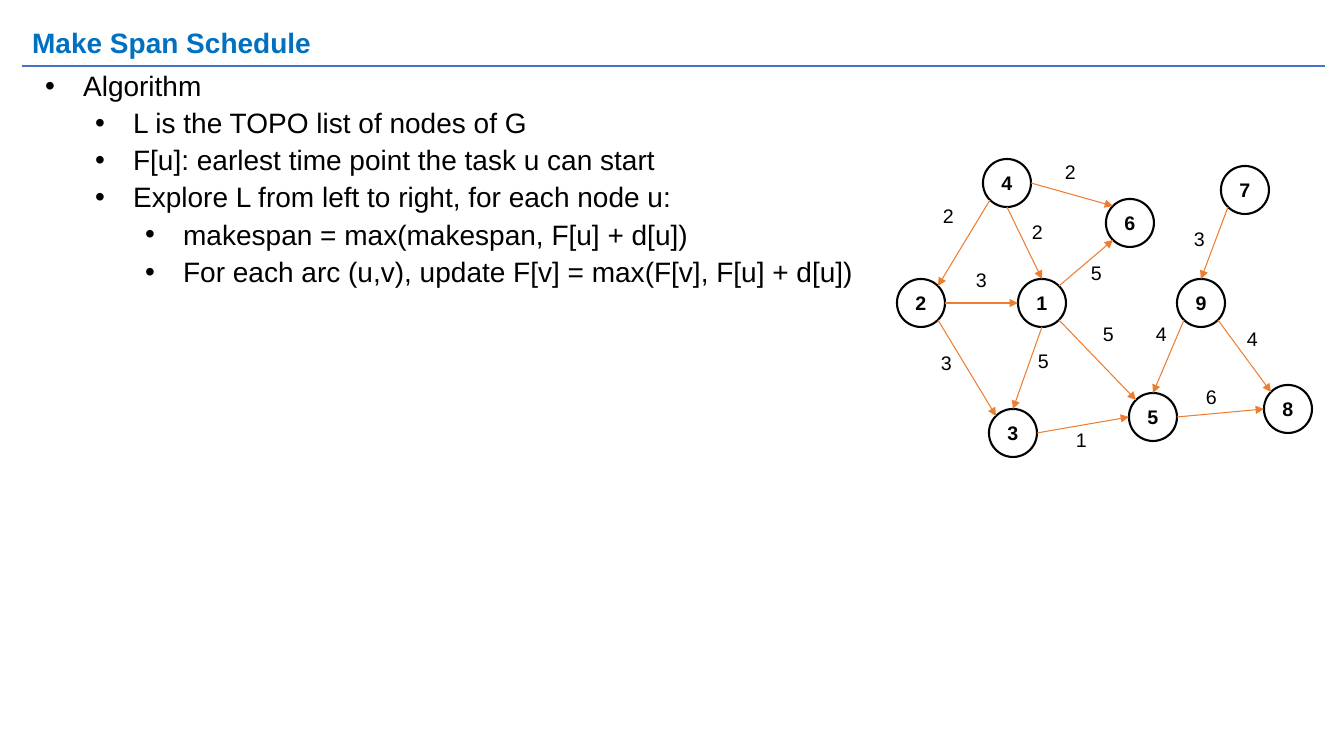
from dataclasses import dataclass
from math import cos, radians, sin

from pptx import Presentation
from pptx import util as u
from pptx.dml.color import RGBColor
from pptx.enum import shapes, text
from pptx.oxml.ns import qn
from lxml import etree

EMU_PER_PX = 914400 / 100.8


@dataclass(frozen=True)
class Theme:
    font: str = "Arial"
    ink: str = "000000"
    heading: str = "0070C0"
    rule: str = "4472C4"
    arc: str = "ED7D31"
    main_size: int = 20
    graph_size: int = 14
    thin: float = 0.75
    outline: float = 1.5


THEME = Theme()
DIAMETER = 48
ANGLES = {"E": 0, "SE": 45, "S": 90, "SW": 135, "W": 180, "NW": 225, "N": 270, "NE": 315}

ALGORITHM = [
    (0, "Algorithm"),
    (1, "L is the TOPO list of nodes of G"),
    (1, "F[u]: earlest time point the task u can start"),
    (1, "Explore L from left to right, for each node u:"),
    (2, "makespan = max(makespan, F[u] + d[u])"),
    (2, "For each arc (u,v), update F[v] = max(F[v], F[u] + d[u])"),
]

# Task: centre of its circle
TASKS = {
    4: (1007, 183), 2: (921, 303), 1: (1042, 303), 6: (1130, 223), 3: (1013, 433),
    5: (1153, 417), 9: (1201, 303), 7: (1245, 190), 8: (1288, 409),
}

# From task and side, to task and side, duration, left and top of the duration label
ARCS = [
    (4, "E", 6, "NW", 2, 1055, 155),
    (4, "SW", 2, "NE", 2, 933, 199),
    (4, "S", 1, "N", 2, 1022, 215),
    (9, "SW", 5, "N", 4, 1146, 317),
    (1, "NE", 6, "SW", 5, 1081, 256),
    (7, "SW", 9, "N", 3, 1184, 222),
    (1, "SE", 5, "NW", 5, 1093, 317),
    (1, "S", 3, "N", 5, 1028, 344),
    (2, "E", 1, "W", 3, 966, 263),
    (2, "SE", 3, "NW", 3, 931, 346),
    (3, "E", 5, "W", 1, 1066, 423),
    (5, "E", 8, "W", 6, 1196, 380),
    (9, "SE", 8, "NW", 4, 1237, 322),
]


def px(length):
    return u.Emu(round(length * EMU_PER_PX))


def rgb(value):
    return RGBColor.from_string(value)


def write(paragraph, words, size=THEME.main_size, color=THEME.ink, bold=False,
          align=text.PP_ALIGN.LEFT, spacing=None, before=None):
    paragraph.alignment = align
    if spacing is not None:
        paragraph.line_spacing = spacing
    if before is not None:
        paragraph.space_before = u.Pt(before)
    run = paragraph.add_run()
    run.text = words
    run.font.name = THEME.font
    run.font.size = u.Pt(size)
    run.font.bold = bold
    run.font.color.rgb = rgb(color)


def place(shape, left, top, width, height):
    shape.left, shape.top = px(left), px(top)
    shape.width, shape.height = px(width), px(height)


def add_bullet(paragraph, level):
    props = paragraph._p.get_or_add_pPr()
    props.set("marL", str(px(50 * (level + 1))))
    props.set("indent", str(px(-38)))
    color = etree.SubElement(props, qn("a:buClr"))
    etree.SubElement(color, qn("a:srgbClr"), val=THEME.ink)
    etree.SubElement(props, qn("a:buFont"), typeface=THEME.font)
    etree.SubElement(props, qn("a:buChar"), char="•")


def fill_title(title):
    place(title, 22, 15, 1302, 59)
    frame = title.text_frame
    frame.auto_size = text.MSO_AUTO_SIZE.NONE
    frame.vertical_anchor = text.MSO_ANCHOR.MIDDLE
    write(frame.paragraphs[0], "Make Span Schedule", color=THEME.heading,
          bold=True, spacing=0.9)


def fill_algorithm(body):
    place(body, 23, 67, 1301, 675)
    frame = body.text_frame
    frame.auto_size = text.MSO_AUTO_SIZE.NONE
    for index, (level, step) in enumerate(ALGORITHM):
        paragraph = frame.add_paragraph() if index else frame.paragraphs[0]
        paragraph.level = level
        write(paragraph, step, spacing=0.9, before=5 if level else 10)
        add_bullet(paragraph, level)


def add_line(slide, start, end, color, arrow=False):
    line = slide.shapes.add_connector(
        shapes.MSO_CONNECTOR.STRAIGHT, *map(px, (*start, *end)))
    line.line.color.rgb = rgb(color)
    line.line.width = u.Pt(THEME.thin)
    if arrow:
        etree.SubElement(line.line._get_or_add_ln(), qn("a:tailEnd"), type="triangle")
    etree.SubElement(line._element.spPr, qn("a:effectLst"))


def add_task(slide, number, center):
    x, y = center
    circle = slide.shapes.add_shape(
        shapes.MSO_SHAPE.OVAL,
        *map(px, (x - DIAMETER / 2, y - DIAMETER / 2, DIAMETER, DIAMETER)))
    circle.shadow.inherit = False
    circle.fill.background()
    circle.line.color.rgb = rgb(THEME.ink)
    circle.line.width = u.Pt(THEME.outline)
    frame = circle.text_frame
    frame.margin_left = frame.margin_right = 0
    frame.vertical_anchor = text.MSO_ANCHOR.MIDDLE
    write(frame.paragraphs[0], str(number), size=THEME.graph_size, bold=True,
          align=text.PP_ALIGN.CENTER)


def rim_point(task, side):
    """Point on a task's circle in the given compass direction."""
    x, y = TASKS[task]
    angle = radians(ANGLES[side])
    return x + DIAMETER / 2 * cos(angle), y + DIAMETER / 2 * sin(angle)


def add_duration(slide, duration, left, top):
    label = slide.shapes.add_textbox(*map(px, (left, top, 36, 40)))
    frame = label.text_frame
    frame.word_wrap = True
    frame.auto_size = text.MSO_AUTO_SIZE.SHAPE_TO_FIT_TEXT
    write(frame.paragraphs[0], str(duration), size=THEME.graph_size)


def main():
    deck = Presentation()
    deck.slide_width, deck.slide_height = px(1344), px(756)
    slide = deck.slides.add_slide(deck.slide_layouts[1])
    title, body = slide.placeholders
    fill_title(title)
    add_line(slide, (22, 66), (1325, 66), THEME.rule)
    fill_algorithm(body)
    for number, center in TASKS.items():
        add_task(slide, number, center)
    for source, exit_side, target, entry_side, *_ in ARCS:
        add_line(slide, rim_point(source, exit_side), rim_point(target, entry_side),
                 THEME.arc, arrow=True)
    for *_, duration, left, top in ARCS:
        add_duration(slide, duration, left, top)
    deck.save("out.pptx")


if __name__ == "__main__":
    main()
